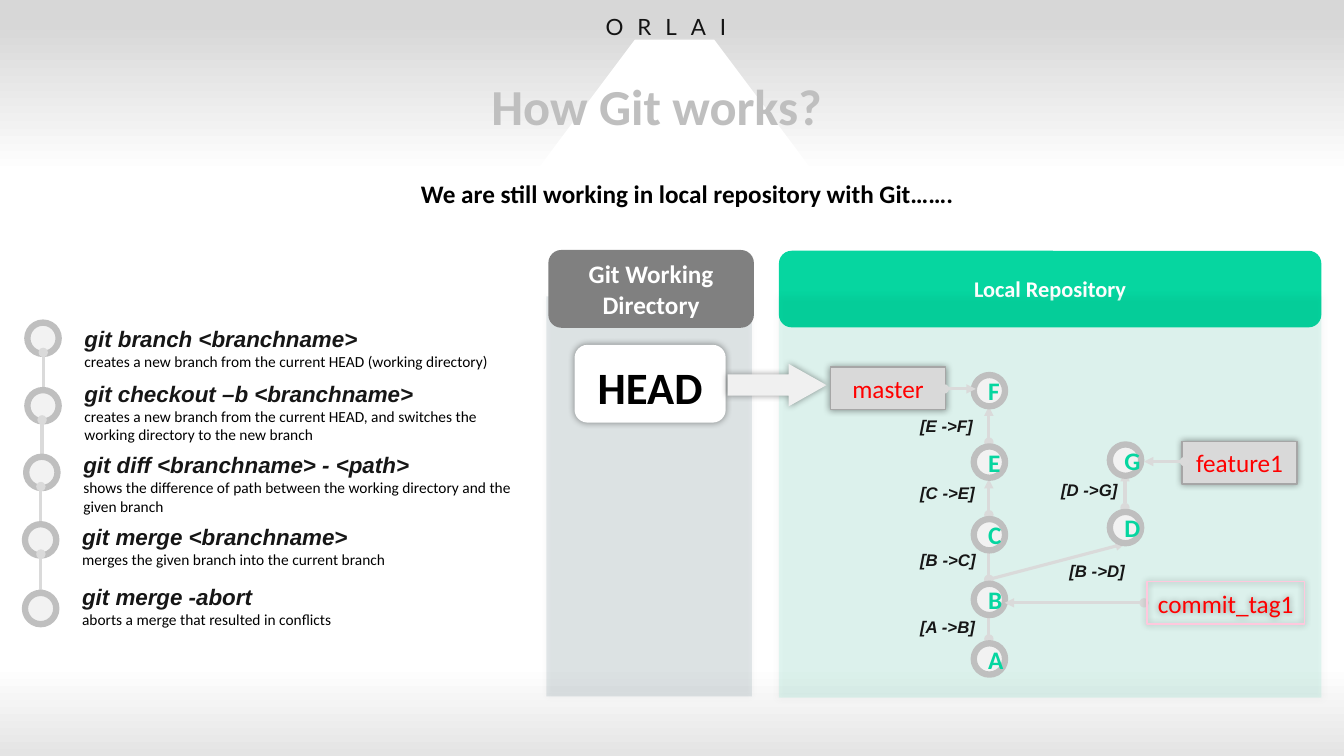
import pptx
import pptx.dml.color
import pptx.enum.shapes
import pptx.enum.text
import pptx.oxml.ns
import pptx.util
from lxml import etree

Cm = pptx.util.Cm
Pt = pptx.util.Pt
RGBColor = pptx.dml.color.RGBColor
SHAPE = pptx.enum.shapes.MSO_SHAPE
ALIGN = pptx.enum.text.PP_ALIGN
ANCHOR = pptx.enum.text.MSO_ANCHOR
qn = pptx.oxml.ns.qn

BLACK = RGBColor(0x00, 0x00, 0x00)
INK = RGBColor(0x16, 0x16, 0x16)
WHITE = RGBColor(0xFF, 0xFF, 0xFF)
RED = RGBColor(0xFF, 0x00, 0x00)
GREEN = RGBColor(0x06, 0xD6, 0xA0)
NAVY = RGBColor(0x07, 0x3B, 0x4C)
PINK = RGBColor(0xFF, 0xC8, 0xDD)
HEADER_GRAY = RGBColor(0x80, 0x80, 0x80)
TAG_EDGE = RGBColor(0xA6, 0xA6, 0xA6)
RING_GRAY = RGBColor(0xBF, 0xBF, 0xBF)
TAG_GRAY = RGBColor(0xD9, 0xD9, 0xD9)
LINK_GRAY = RGBColor(0xDA, 0xDA, 0xDA)
ARROW_GRAY = RGBColor(0xF0, 0xF0, 0xF0)
RING_FILL = RGBColor(0xF2, 0xF2, 0xF2)
BACKDROP = [(3, "D7D7D7"), (23, "FFFFFF"), (88, "FFFFFF"), (100, "E4E4E4")]

RING = 0.79
COMMITS = {
    "A": (24.54, 16.21), "B": (24.54, 14.71), "C": (24.54, 13.08),
    "D": (27.97, 12.9), "G": (27.97, 11.2), "E": (24.54, 11.25), "F": (24.54, 9.45),
}
EDGES = [
    ("A", "B", 22.94, 15.42), ("B", "C", 22.94, 13.74), ("C", "E", 22.94, 12.04),
    ("B", "D", 26.7, 14), ("D", "G", 26.49, 11.96), ("E", "F", 22.94, 10.36),
]
STEPS = [
    (0.69, 8.13, 8.08, "git branch <branchname>",
     "creates a new branch from the current HEAD (working directory)"),
    (0.69, 9.83, 9.45, "git checkout –b <branchname>",
     "creates a new branch from the current HEAD, and switches the working directory to the new branch"),
    (0.66, 11.51, 11.25, "git diff <branchname> - <path>",
     "shows the difference of path between the working directory and the given branch"),
    (0.63, 13.21, 13.06, "git merge <branchname>",
     "merges the given branch into the current branch"),
    (0.63, 14.94, 14.58, "git merge -abort",
     "aborts a merge that resulted in conflicts"),
]


def add_element(parent, tag, **attributes):
    """Append an XML element with the given attributes."""
    return etree.SubElement(parent, qn(tag), {key: str(value) for key, value in attributes.items()})


def paint_background(page):
    """Fill the page with a vertical gradient."""
    fill = page.background.fill
    fill.gradient()
    fill.gradient_angle = 270
    stops = next(page._element.iter(qn("a:gsLst")))
    for stop in list(stops):
        stops.remove(stop)
    for position, colour in BACKDROP:
        stop = add_element(stops, "a:gs", pos=position * 1000)
        add_element(stop, "a:srgbClr", val=colour)


def write(para, text, size, colour, bold=False, italic=False, font="Calibri", align=ALIGN.LEFT):
    """Put one styled run into a paragraph."""
    span = para.add_run()
    span.text = text
    para.alignment = align
    para.font.name, para.font.size = font, Pt(size)
    para.font.bold, para.font.italic = bold, italic
    para.font.color.rgb = colour
    return span


def add_text(page, left, top, width, height):
    """Add a wrapping text box and return its frame."""
    frame = page.shapes.add_textbox(Cm(left), Cm(top), Cm(width), Cm(height)).text_frame
    frame.word_wrap = True
    frame.auto_size = pptx.enum.text.MSO_AUTO_SIZE.SHAPE_TO_FIT_TEXT
    return frame


def style(shape, fill=None, line=None, weight=1, alpha=None, glow=False):
    """Set fill, outline and soft shadow of a shape."""
    shape.shadow.inherit = False
    if fill is None:
        shape.fill.background()
    else:
        shape.fill.solid()
        shape.fill.fore_color.rgb = fill
    if alpha:
        add_element(next(shape._element.spPr.iter(qn("a:srgbClr"))), "a:alpha", val=alpha * 1000)
    if line is None:
        shape.line.fill.background()
    else:
        shape.line.color.rgb = line
        shape.line.width = Pt(weight)
    if glow:
        effects = shape._element.spPr.find(qn("a:effectLst"))
        shadow = add_element(effects, "a:outerShdw", blurRad=Pt(5), dist=0, dir=0, algn="ctr", rotWithShape=0)
        add_element(add_element(shadow, "a:srgbClr", val="000000"), "a:alpha", val=40000)


def add_box(page, kind, left, top, width, height, **look):
    """Add a styled preset shape."""
    box = page.shapes.add_shape(kind, Cm(left), Cm(top), Cm(width), Cm(height))
    style(box, **look)
    return box


def caption(box, text, size, colour, bold=True, anchor=ANCHOR.MIDDLE):
    """Write centred text inside a shape."""
    box.text_frame.vertical_anchor = anchor
    write(box.text_frame.paragraphs[0], text, size, colour, bold, align=ALIGN.CENTER)


def add_link(page, start, end, tail="triangle"):
    """Draw a connector that begins with a dot."""
    link = page.shapes.add_connector(
        pptx.enum.shapes.MSO_CONNECTOR.STRAIGHT, *[Cm(value) for value in (*start, *end)])
    link.line.color.rgb = LINK_GRAY
    link.line.width = Pt(2.25)
    outline = link.line._get_or_add_ln()
    add_element(outline, "a:headEnd", type="oval")
    add_element(outline, "a:tailEnd", type=tail)
    add_element(link._element.spPr, "a:effectLst")


def add_ring(page, left, top):
    """Add a small ringed dot."""
    return add_box(page, SHAPE.OVAL, left, top, RING, RING, fill=RING_FILL, line=RING_GRAY, weight=4.5)


def add_tag(page, text, left, top, width=2.9, fill=TAG_GRAY, line=TAG_EDGE):
    """Add a reference label with red text."""
    tag = add_box(page, SHAPE.RECTANGLE, left, top, width, 1.07, fill=fill, line=line, glow=True)
    caption(tag, text, 18, RED, bold=False)


def add_spotlight(page):
    """Draw the white beam with a rounded top behind the title."""
    middle, shoulder, crown = 16.71, 1.42, 1.22
    arc = []
    for step in range(13):
        t = step / 12
        near, far = (1 - t) ** 3 + 3 * (1 - t) ** 2 * t, 3 * (1 - t) * t ** 2
        arc.append((1.07 * near + 0.82 * far, crown + (shoulder - crown) * near))
    right = [(middle + offset, y) for offset, y in arc]
    left = [(middle - offset, y) for offset, y in reversed(arc)]
    builder = page.shapes.build_freeform(13.18, 5.28, scale=Cm(1))
    builder.add_line_segments([(20.68, 5.28)] + right + left)
    style(builder.convert_to_shape(), fill=WHITE)


def add_headings(page):
    """Add the banner, the title and the subtitle."""
    banner = add_text(page, 10.92, 0.2, 11.73, 0.94).paragraphs[0]
    span = write(banner, "ORLAI", 16, RGBColor(0x14, 0x14, 0x14), font="Lato", align=ALIGN.CENTER)
    span._r.get_or_add_rPr().set("spc", "1000")
    title = add_text(page, 3.1, 1.78, 26.9, 1.8).paragraphs[0]
    span = write(title, "How Git works?", 36, RING_GRAY, True, align=ALIGN.CENTER)
    outline = add_element(span._r.get_or_add_rPr(), "a:ln", w=Pt(0.75))
    add_element(add_element(outline, "a:solidFill"), "a:srgbClr", val=LINK_GRAY)
    subtitle = add_text(page, 10.36, 4.37, 14.66, 1.02).paragraphs[0]
    write(subtitle, "We are still working in local repository with Git…….", 18, BLACK, True)


def add_areas(page):
    """Add the working directory and local repository panels."""
    add_box(page, SHAPE.RECTANGLE, 13.77, 7.47, 5.18, 10.08, fill=NAVY, alpha=10, glow=True)
    head = add_box(page, SHAPE.ROUNDED_RECTANGLE, 14.48, 8.69, 3.81, 1.96, fill=WHITE, glow=True)
    caption(head, "HEAD", 32, BLACK, anchor=ANCHOR.BOTTOM)
    repository = add_box(page, SHAPE.ROUNDED_RECTANGLE, 19.63, 6.32, 13.67, 1.93, fill=GREEN)
    caption(repository, "Local Repository", 16, WHITE)
    add_box(page, SHAPE.RECTANGLE, 19.63, 7.47, 13.67, 10.11, fill=GREEN, alpha=10, glow=True)
    directory = add_box(page, SHAPE.ROUNDED_RECTANGLE, 13.82, 6.3, 5.18, 1.96, fill=HEADER_GRAY)
    caption(directory, "Git Working Directory", 18, WHITE)
    arrow = add_box(page, SHAPE.RIGHT_ARROW, 18.34, 9.17, 2.49, 1.07, fill=ARROW_GRAY, glow=True)
    arrow.adjustments[1] = 0.89


def add_history(page):
    """Draw the commit graph and its references."""
    add_tag(page, "master", 20.93, 9.25)
    for source, target, left, top in EDGES:
        start = COMMITS[source][1] - 0.11
        add_link(page, (COMMITS[source][0] + 0.38, start), (COMMITS[target][0] + 0.38, start - 0.9))
        label = add_text(page, left, top, 2.57, 0.76).paragraphs[0]
        write(label, f"[{source} ->{target}]", 12, INK, True, True, "Arial")
    for name, (left, top) in COMMITS.items():
        caption(add_ring(page, left, top), name, 18, GREEN)
    add_link(page, (23.8, 9.8), (24.59, 9.8))
    add_tag(page, "feature1", 29.79, 11.13)
    add_link(page, (29.85, 11.63), (28.83, 11.63))
    add_link(page, (28.83, 15.19), (25.32, 15.19))
    add_tag(page, "commit_tag1", 28.91, 14.66, 3.96, None, PINK)


def add_commands(page):
    """List the commands along a chain of rings."""
    previous = None
    for left, top, text_top, command, meaning in STEPS:
        if previous:
            add_link(page, (left + 0.4, previous + 1.75), (left + 0.4, previous + 0.75), "oval")
        add_ring(page, left, top)
        frame = add_text(page, left + 1.19, text_top, 11.71, 1.42)
        write(frame.paragraphs[0], command, 16, INK, True, True, "Arial")
        write(frame.add_paragraph(), meaning, 11, BLACK)
        previous = top


def main():
    """Build the slide and save it."""
    deck = pptx.Presentation()
    deck.slide_width, deck.slide_height = Cm(33.87), Cm(19.05)
    page = deck.slides.add_slide(deck.slide_layouts[6])
    paint_background(page)
    add_spotlight(page)
    add_headings(page)
    add_areas(page)
    add_history(page)
    add_commands(page)
    deck.save("out.pptx")


if __name__ == "__main__":
    main()
